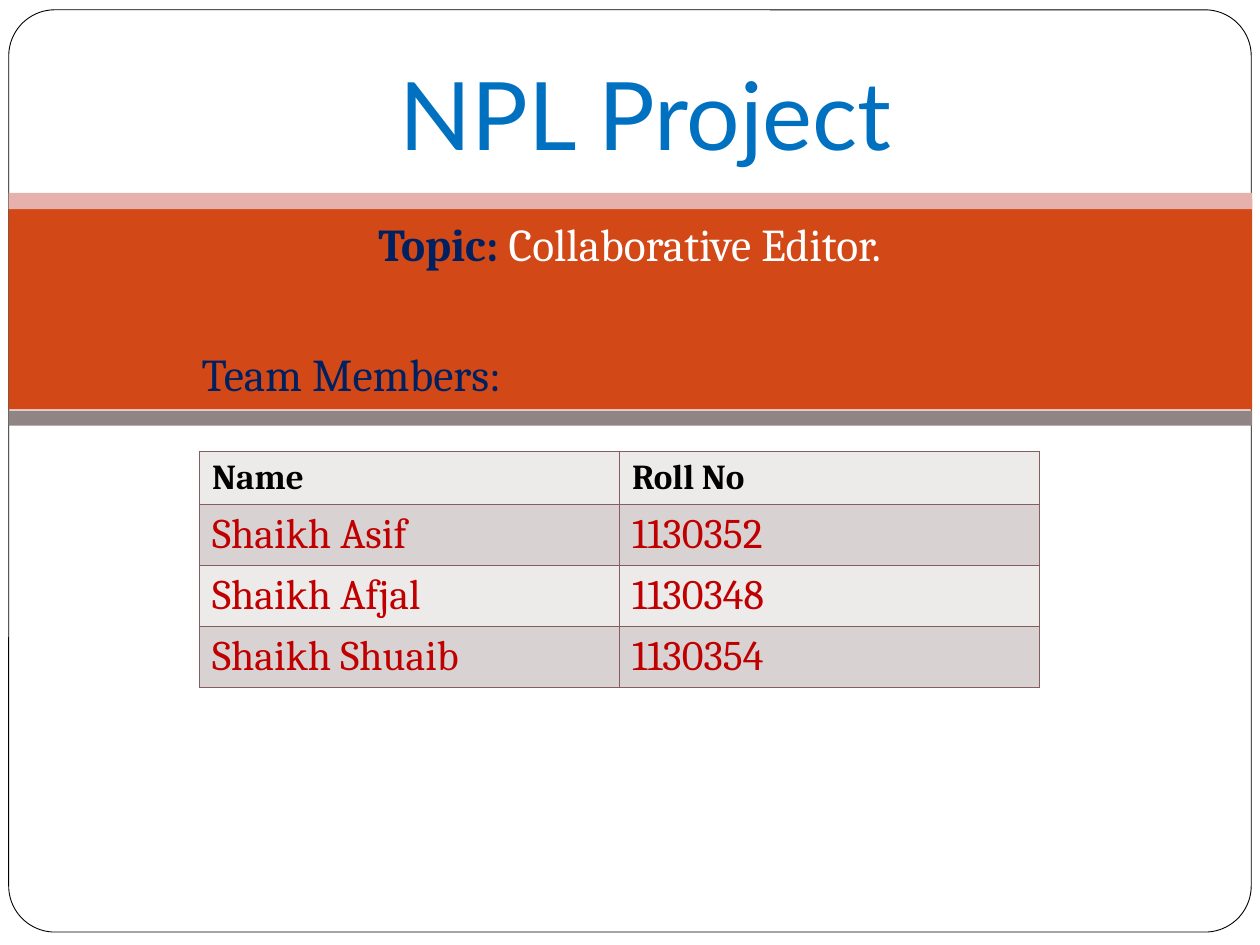
import pptx
import pptx.dml.color
import pptx.enum.shapes
import pptx.enum.text
import pptx.oxml
import pptx.oxml.ns
import pptx.util

Pt = pptx.util.Pt
RGB = pptx.dml.color.RGBColor
SHAPE = pptx.enum.shapes.MSO_SHAPE
ALIGN = pptx.enum.text.PP_ALIGN
ANCHOR = pptx.enum.text.MSO_ANCHOR

WHITE = RGB(0xFF, 0xFF, 0xFF)
BLACK = RGB(0x00, 0x00, 0x00)
ORANGE = RGB(0xD3, 0x48, 0x17)
PINK = RGB(0xE6, 0xB1, 0xAC)
GREY = RGB(0x91, 0x84, 0x85)
NAVY = RGB(0x00, 0x20, 0x60)
BLUE = RGB(0x00, 0x70, 0xC0)
RED = RGB(0xC0, 0x00, 0x00)
BORDER = RGB(0x85, 0x5D, 0x5D)
ROW_FILLS = (RGB(0xED, 0xEA, 0xEA), RGB(0xD9, 0xD2, 0xD2))

TITLE = {"name": "Lato", "size": Pt(54), "bold": False}
BODY = {"name": "Cambria", "size": Pt(26), "bold": False}
LABEL = {**BODY, "bold": True}
HEADER = {"name": "Cambria", "size": Pt(20), "bold": True}
CELL = {"name": "Cambria", "size": Pt(24), "bold": False}

BANDS = [  # top, height, colour
    (113.8, 120.2, ORANGE),
    (110.2, 9.4, PINK),
    (234.7, 8.6, GREY),
]
MEMBERS = [
    ("Name", "Roll No"),
    ("Shaikh Asif", "1130352"),
    ("Shaikh Afjal", "1130348"),
    ("Shaikh Shuaib", "1130354"),
]


def set_attrs(obj, values):
    for name, value in values.items():
        setattr(obj, name, value)


def add_run(p, text, fmt, color):
    r = p.add_run()
    r.text = text
    set_attrs(r.font, fmt)
    r.font.color.rgb = color


def add_block(slide, kind, left, top, width, height, fill, line=None):
    sp = slide.shapes.add_shape(kind, Pt(left), Pt(top), Pt(width), Pt(height))
    sp.shadow.inherit = False
    sp.fill.solid()
    sp.fill.fore_color.rgb = fill
    if line is None:
        sp.line.fill.background()
    else:
        sp.line.color.rgb = line
        sp.line.width = Pt(0.5)
    return sp


def place_placeholder(slide, sp, left, top, width, height, anchor):
    set_attrs(sp, {"left": Pt(left), "top": Pt(top),
                   "width": Pt(width), "height": Pt(height)})
    tf = sp.text_frame
    set_attrs(tf, {"word_wrap": True, "vertical_anchor": anchor,
                   "auto_size": pptx.enum.text.MSO_AUTO_SIZE.NONE})
    # Bring the text in front of the bands
    slide.shapes._spTree.append(sp._element)
    return tf


def set_borders(cell):
    tc_pr = cell._tc.get_or_add_tcPr()
    for i, side in enumerate(("lnL", "lnR", "lnT", "lnB")):
        tc_pr.insert(i, pptx.oxml.parse_xml(
            f'<a:{side} {pptx.oxml.ns.nsdecls("a")} w="{Pt(1)}"><a:solidFill>'
            f'<a:srgbClr val="{BORDER}"/></a:solidFill></a:{side}>'))


def add_member_table(slide):
    frame = slide.shapes.add_table(len(MEMBERS), 2, Pt(114), Pt(258),
                                   Pt(480), Pt(135))
    table = frame.table
    for i, record in enumerate(MEMBERS):
        table.rows[i].height = Pt(34.9 if i else 30.3)
        fmt, color = (CELL, RED) if i else (HEADER, BLACK)
        for j, text in enumerate(record):
            cell = table.cell(i, j)
            cell.fill.solid()
            cell.fill.fore_color.rgb = ROW_FILLS[i % 2]
            set_borders(cell)
            add_run(cell.text_frame.paragraphs[0], text, fmt, color)


def main():
    prs = pptx.Presentation()
    set_attrs(prs, {"slide_width": Pt(720), "slide_height": Pt(540)})
    slide = prs.slides.add_slide(prs.slide_layouts[0])

    # Frame and colour bands
    frame = add_block(slide, SHAPE.ROUNDED_RECTANGLE, 5, 5.6, 710, 527,
                      WHITE, BLACK)
    frame.adjustments[0] = 0.05
    for top, height, color in BANDS:
        add_block(slide, SHAPE.RECTANGLE, 5, top, 710.5, height, color)

    # Topic and team heading
    tf = place_placeholder(slide, slide.placeholders[1], 108, 120, 504, 114,
                           ANCHOR.TOP)
    p = tf.paragraphs[0]
    set_attrs(p, {"alignment": ALIGN.CENTER, "space_before": Pt(5.8)})
    add_run(p, "Topic: ", LABEL, NAVY)
    add_run(p, "Collaborative Editor.", BODY, WHITE)
    p = tf.add_paragraph()
    set_attrs(p, {"alignment": ALIGN.LEFT, "space_before": Pt(43)})
    add_run(p, "Team Members:", BODY, NAVY)

    # Title
    tf = place_placeholder(slide, slide.shapes.title, 174, 30, 390, 72,
                           ANCHOR.MIDDLE)
    tf.margin_bottom = Pt(7.2)
    p = tf.paragraphs[0]
    p.alignment = ALIGN.CENTER
    add_run(p, "NPL Project", TITLE, BLUE)

    add_member_table(slide)
    prs.save("out.pptx")


if __name__ == "__main__":
    main()
